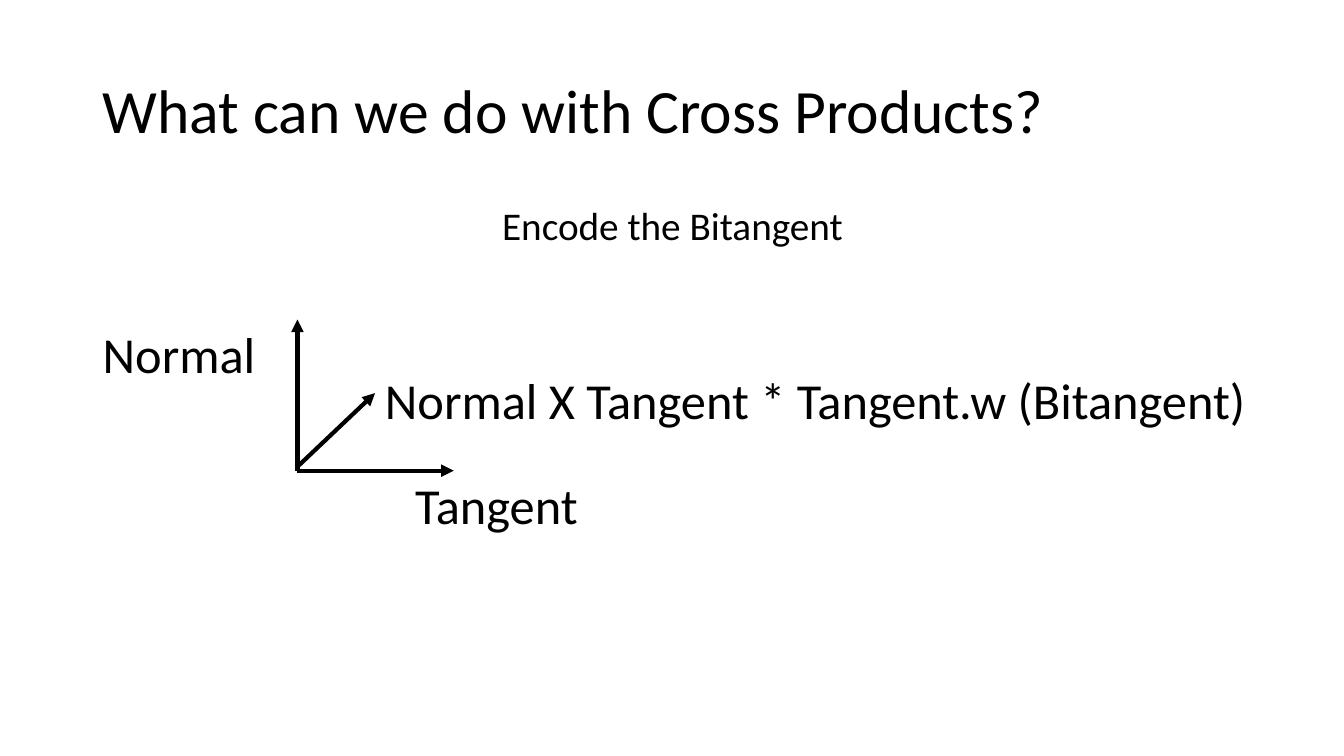
"""Builds a slide on encoding the bitangent with a cross product."""
from lxml import etree
from pptx import Presentation
from pptx.dml.color import RGBColor
from pptx.enum.shapes import MSO_CONNECTOR
from pptx.enum.text import MSO_ANCHOR, PP_ALIGN
from pptx.oxml.ns import qn
from pptx.util import Inches, Pt

BLACK = RGBColor(0, 0, 0)
STRAIGHT = MSO_CONNECTOR.STRAIGHT
LEFT, CENTER = PP_ALIGN.LEFT, PP_ALIGN.CENTER
TOP, MIDDLE = MSO_ANCHOR.TOP, MSO_ANCHOR.MIDDLE

deck = Presentation()
deck.slide_width, deck.slide_height = Inches(13.33), Inches(7.5)
page = deck.slides.add_slide(deck.slide_layouts[6])

texts = [
    ("What can we do with Cross Products?", (0.92, 0.4, 11.5, 1.45), 44, MIDDLE,
     {"alignment": LEFT, "line_spacing": 0.9}),
    ("Encode the Bitangent", (0.92, 2, 11.5, 4.76), 28, TOP,
     {"alignment": CENTER, "line_spacing": 0.9}),
    ("Normal", (0.92, 3.16, 2.18, 0.71), 36, TOP, {"alignment": LEFT}),
    ("Tangent", (4.02, 4.65, 3.33, 0.71), 36, TOP, {"alignment": LEFT}),
    ("Normal X Tangent * Tangent.w (Bitangent)", (3.72, 3.61, 8.96, 0.71), 36, TOP,
     {"alignment": LEFT}),
]
for words, place, size, anchor, layout in texts:
    box = page.shapes.add_textbox(*map(Inches, place))
    frame = box.text_frame
    frame.word_wrap = True
    frame.vertical_anchor = anchor
    para = frame.paragraphs[0]
    for name, value in layout.items():
        setattr(para, name, value)
    span = para.add_run()
    span.text = words
    for name, value in {"name": "Calibri", "size": Pt(size)}.items():
        setattr(span.font, name, value)
    span.font.color.rgb = BLACK

arrows = [
    (2.95, 4.67, 2.95, 3.17),
    (2.95, 4.67, 4.5, 4.67),
    (2.95, 4.63, 3.72, 3.9),
]
for ends in arrows:
    arrow = page.shapes.add_connector(STRAIGHT, *map(Inches, ends))
    arrow.line.color.rgb = BLACK
    arrow.line.width = Pt(3)
    outline = arrow.line._get_or_add_ln()
    etree.SubElement(outline, qn("a:tailEnd"), type="triangle")
    etree.SubElement(arrow._element.spPr, qn("a:effectLst"))

deck.save("out.pptx")
